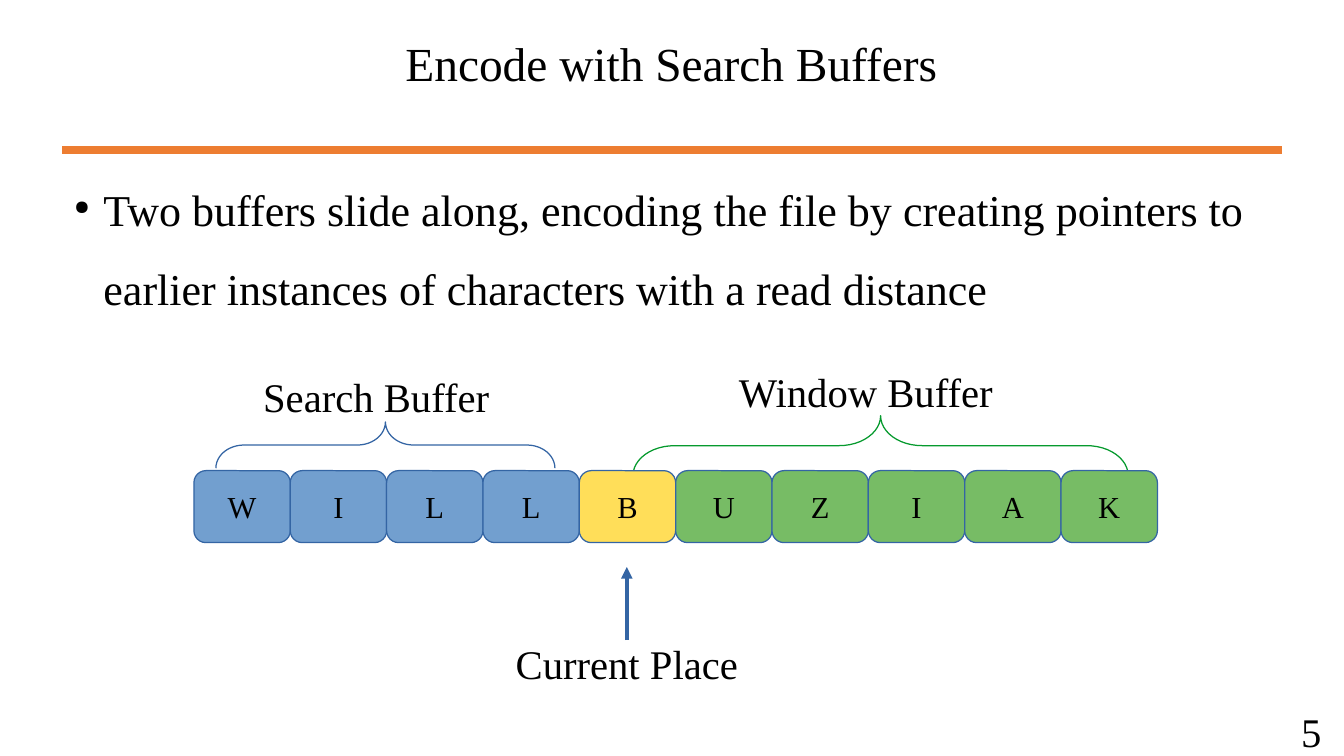
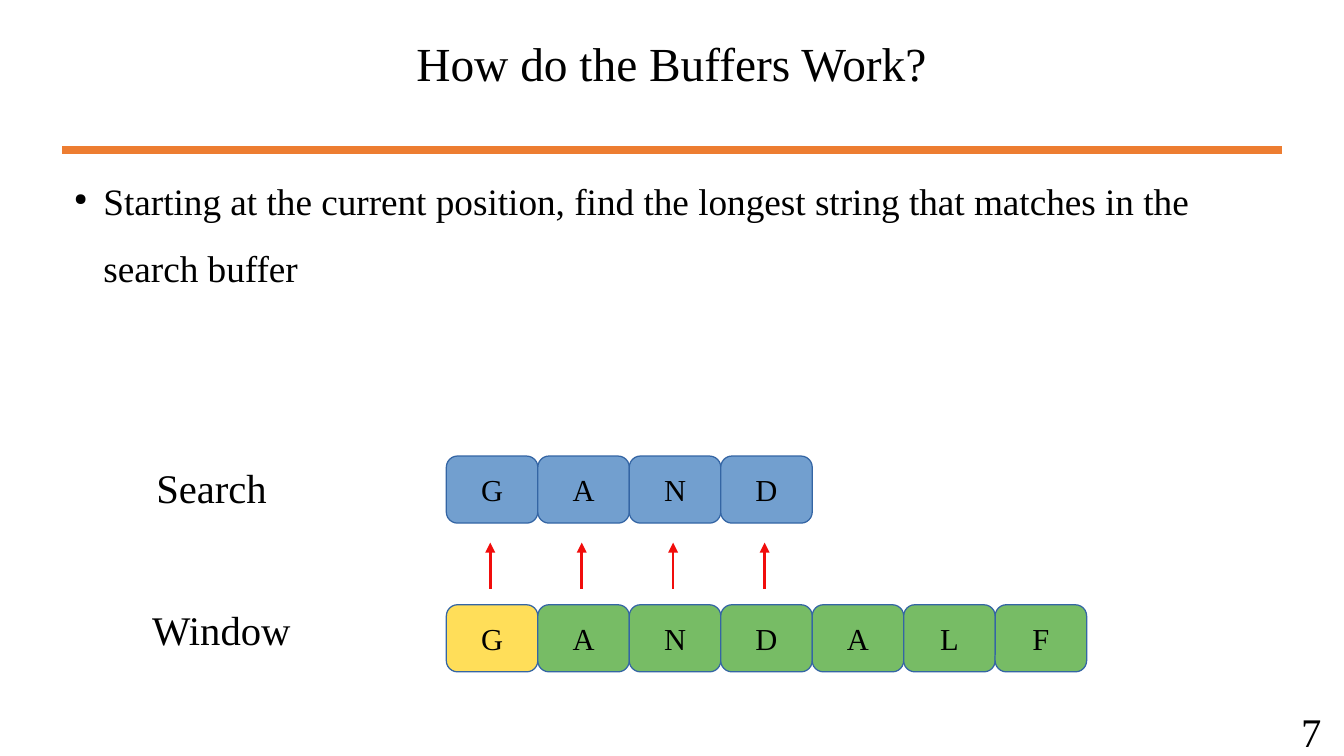
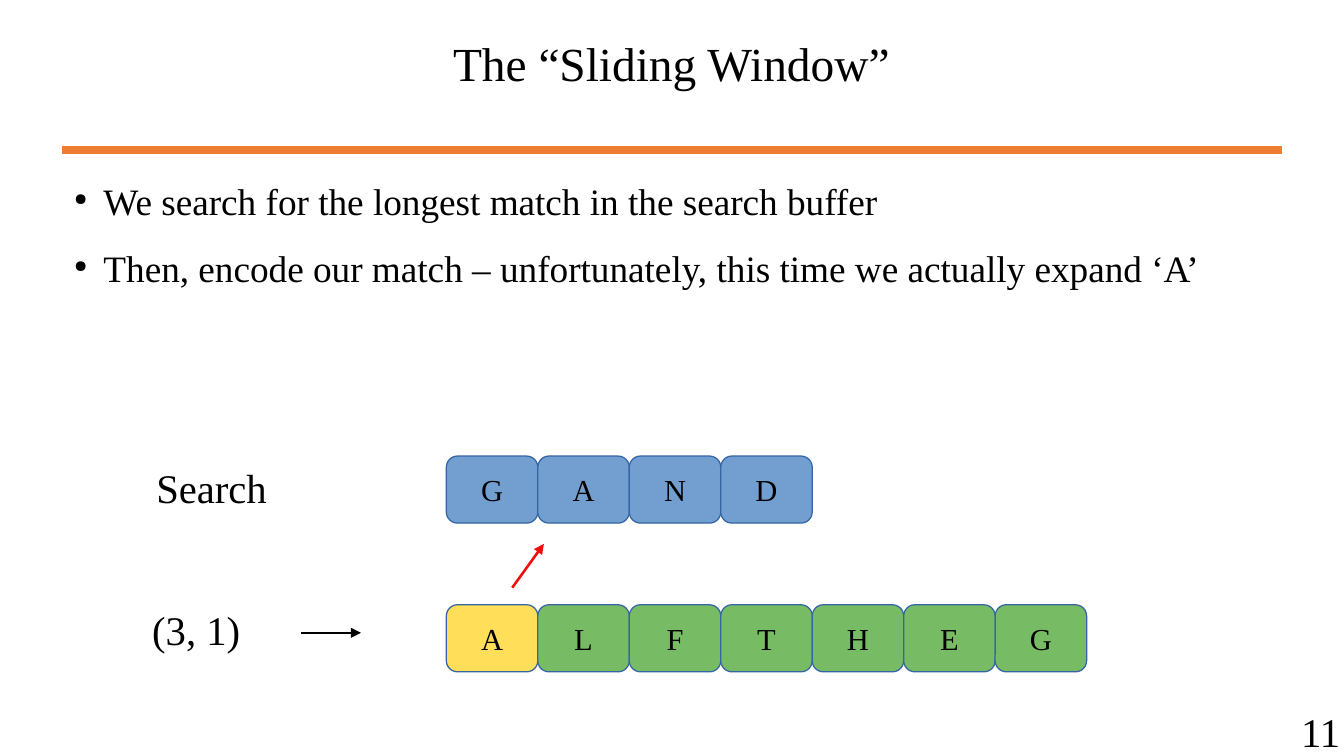
from dataclasses import dataclass

from lxml.etree import SubElement
from pptx import Presentation
from pptx.dml.color import RGBColor
from pptx.enum.shapes import MSO_CONNECTOR, MSO_SHAPE
from pptx.enum.text import MSO_ANCHOR, MSO_AUTO_SIZE, PP_ALIGN
from pptx.oxml.ns import qn
from pptx.util import Inches, Pt


@dataclass(frozen=True)
class Theme:
    font: str = "Times New Roman"
    ink: str = "000000"
    rule: str = "ED7D31"
    edge: str = "3465A4"
    past: str = "729FCF"
    now: str = "FFDE59"
    next: str = "77BC65"
    brace: str = "069A2E"
    match: str = "F10D0C"
    title: int = 28
    label: int = 24
    cell: int = 18


T = Theme()

# Content: lengths in inches
# label: text, (left, top, width, height), centred
# row: left, top, cell width, cell height, runs of (letters, fill)
# brace: left, top, width, height, end radius, colour
# arrow: start, end, colour, weight
SEARCH = ("Search", (0.36, 3.75, 2.75, 0.5), True)
SIDE = (1.15, 4.91, 2.4, 0.83)
GRID = 3.66
STEP = 0.75
GAND = (GRID, 3.74, STEP, 0.55, [("GAND", T.past)])

SLIDES = [
    {
        "title": "Encode with Search Buffers",
        "points": ["Two buffers slide along, encoding the file by creating "
                   "pointers to earlier instances of characters with a read "
                   "distance"],
        "size": 26,
        "page": "5",
        "labels": [
            ("Search Buffer", (1.61, 3, 2.95, 0.31), True),
            ("Window Buffer", (5.96, 2.96, 3.67, 0.51), False),
            ("Current Place", (4.13, 5.19, 2.75, 0.39), False),
        ],
        "braces": [
            (1.77, 3.46, 2.78, 0.38, 0.23, T.edge),
            (5.19, 3.41, 4.06, 0.49, 0.34, T.brace),
        ],
        "rows": [(1.59, 3.86, 0.79, 0.59,
                  [("WILL", T.past), ("B", T.now), ("UZIAK", T.next)])],
        "arrows": [((5.14, 5.25), (5.14, 4.65), T.edge, 2.3)],
    },
    {
        "title": "How do the Buffers Work?",
        "points": ["Starting at the current position, find the longest "
                   "string that matches in the search buffer"],
        "size": 22,
        "page": "7",
        "labels": [SEARCH, ("Window", SIDE, False)],
        "braces": [],
        "rows": [GAND, (GRID, 4.96, STEP, 0.55,
                        [("G", T.now), ("ANDALF", T.next)])],
        "arrows": [((4.02 + i * STEP, 4.83), (4.02 + i * STEP, 4.45),
                    T.match, 1.5) for i in range(4)],
    },
    {
        "title": "The “Sliding Window”",
        "points": ["We search for the longest match in the search buffer",
                   "Then, encode our match – unfortunately, this time we "
                   "actually expand ‘A’"],
        "size": 22,
        "page": "11",
        "labels": [SEARCH, ("(3, 1)", SIDE, False)],
        "braces": [],
        "rows": [GAND, (GRID, 4.96, STEP, 0.55,
                        [("A", T.now), ("LFTHEG", T.next)])],
        "arrows": [((2.47, 5.19), (2.96, 5.19), T.ink, 1.5),
                   ((4.2, 4.82), (4.46, 4.46), T.match, 1.5)],
    },
]


def rgb(code):
    return RGBColor.from_string(code)


def inches(*nums):
    return [Inches(n) for n in nums]


def write(frame, *lines, size=T.label, center=False, space=None,
          bullet=False, anchor=MSO_ANCHOR.TOP):
    """Fill a text frame, one paragraph a line."""
    frame.word_wrap = True
    frame.auto_size = MSO_AUTO_SIZE.NONE
    frame.vertical_anchor = anchor
    for i, line in enumerate(lines):
        para = frame.add_paragraph() if i else frame.paragraphs[0]
        para.alignment = PP_ALIGN.CENTER if center else PP_ALIGN.LEFT
        if space:
            para.line_spacing = space
        if bullet:
            mark(para)
        run = para.add_run()
        run.text = line
        run.font.name = T.font
        run.font.size = Pt(size)
        run.font.color.rgb = rgb(T.ink)


def mark(para):
    """Give a paragraph a small round bullet with a hanging indent."""
    props = para._p.get_or_add_pPr()
    props.set("marL", str(Inches(0.24)))
    props.set("indent", str(-Inches(0.24)))
    tint = SubElement(props, qn("a:buClr"))
    SubElement(tint, qn("a:srgbClr"), val=T.ink)
    SubElement(props, qn("a:buSzPct"), val="45000")
    SubElement(props, qn("a:buChar"), char="●")


def label(slide, text, box, center=False):
    frame = slide.shapes.add_textbox(*inches(*box)).text_frame
    write(frame, text, center=center)
    return frame


def line(slide, start, end, color, weight, head=True):
    link = slide.shapes.add_connector(MSO_CONNECTOR.STRAIGHT,
                                      *inches(*start, *end))
    link.line.color.rgb = rgb(color)
    link.line.width = Pt(weight)
    if head:
        SubElement(link.line._get_or_add_ln(), qn("a:tailEnd"),
                   type="triangle")
    SubElement(link._element.spPr, qn("a:effectLst"))


def shape(slide, kind, box, edge, fill=None):
    item = slide.shapes.add_shape(kind, *inches(*box))
    item.shadow.inherit = False
    item.line.color.rgb = rgb(edge)
    item.line.width = Pt(0)
    if fill:
        item.fill.solid()
        item.fill.fore_color.rgb = rgb(fill)
    else:
        item.fill.background()
    return item


def brace(slide, left, top, wide, high, bend, color):
    # A left brace turned a quarter, so its sides swap about the centre
    shift = (wide - high) / 2
    item = shape(slide, MSO_SHAPE.LEFT_BRACE,
                 (left + shift, top - shift, high, wide), color)
    item.rotation = 90
    item.adjustments[0] = bend / high


def row(slide, left, top, wide, high, runs):
    cells = [(char, fill) for chars, fill in runs for char in chars]
    for i, (char, fill) in enumerate(cells):
        cell = shape(slide, MSO_SHAPE.ROUNDED_RECTANGLE,
                     (left + i * wide, top, wide, high), T.edge, fill)
        write(cell.text_frame, char, size=T.cell, center=True,
              anchor=MSO_ANCHOR.MIDDLE)


def base(deck, data):
    """Add a slide with the shared title, rule, points and page number."""
    slide = deck.slides.add_slide(deck.slide_layouts[5])
    line(slide, (0.51, 1.23), (10.51, 1.23), T.rule, 4.5, head=False)
    title = slide.shapes.title
    title.left, title.top, title.width, title.height = inches(1, 0, 9.01, 1)
    write(title.text_frame, data["title"], size=T.title, center=True,
          space=1.5)
    body = slide.shapes.add_textbox(*inches(0.51, 1.23, 9.98, 1.51))
    write(body.text_frame, *data["points"], size=data["size"], space=1.5,
          bullet=True)
    label(slide, data["page"], (10.57, 5.75, 0.45, 0.45)).margin_right = 0
    return slide


def main():
    deck = Presentation()
    deck.slide_width, deck.slide_height = inches(11.02, 6.2)
    for data in SLIDES:
        slide = base(deck, data)
        for part, draw in (("labels", label), ("braces", brace),
                           ("rows", row), ("arrows", line)):
            for item in data[part]:
                draw(slide, *item)
    deck.save("out.pptx")


if __name__ == "__main__":
    main()
